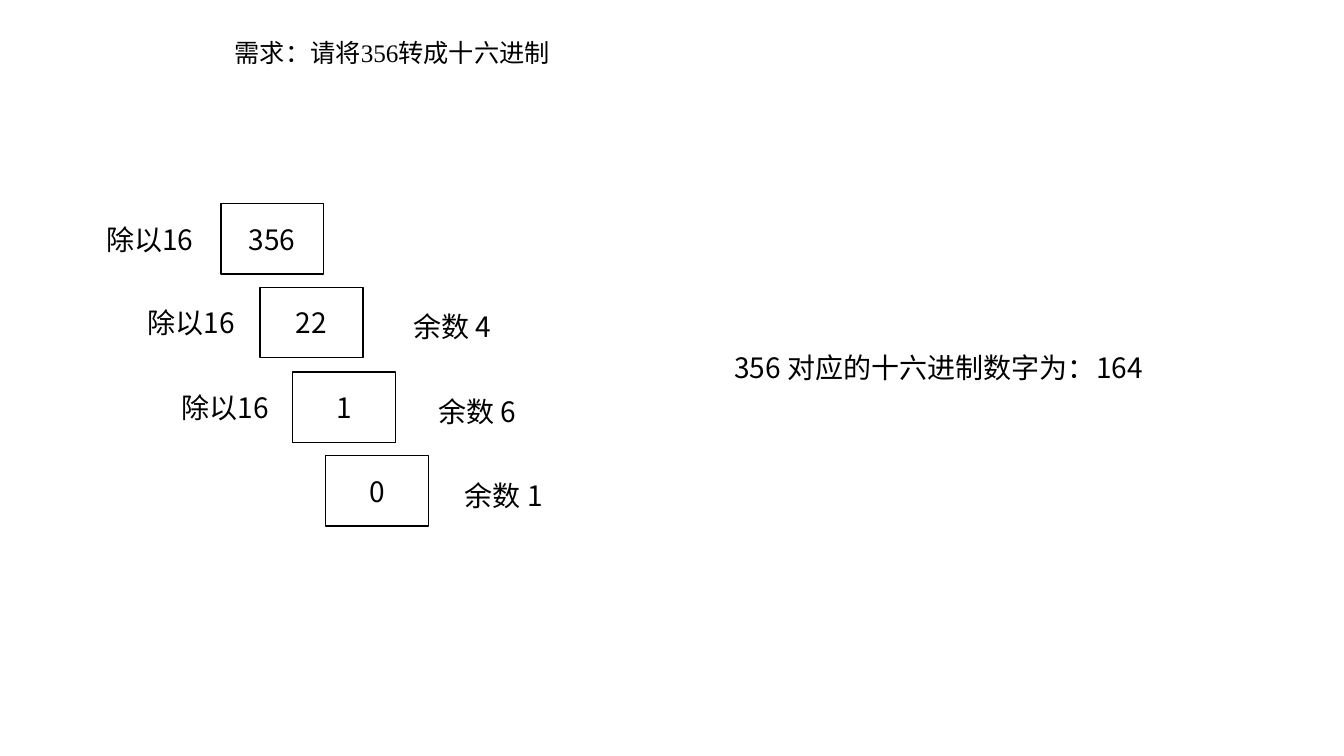
from dataclasses import dataclass

from lxml.etree import SubElement
from pptx import Presentation
from pptx.dml.color import RGBColor
from pptx.enum.shapes import MSO_SHAPE as Shape
from pptx.enum.text import MSO_ANCHOR as Anchor, MSO_AUTO_SIZE as Fit, PP_ALIGN as Align
from pptx.oxml.ns import qn
from pptx.util import Emu, Pt

PX = 9144  # 100 px to the inch
HEX = {"ink": "000000", "paper": "FFFFFF"}
SANS, SERIF = "Noto Sans CJK SC", "Times New Roman"

TOP, PITCH = 202, 250 / 3
BOX_W, BOX_H = 102, 70
DIV_W, REM_W, TAG_H = 109, 101, 44
DIV_DROP, REM_DROP = 13, 17


@dataclass
class Step:
    """One division: quotient box, its divisor tag and its remainder tag."""
    num: str
    left: int
    div: int | None = None
    rem: int | None = None
    rest: str = ""


STEPS = [
    Step("356", 219, div=94),
    Step("22", 258, div=135, rem=398, rest="4"),
    Step("1", 290, div=169, rem=423, rest="6"),
    Step("0", 323, rem=449, rest="1"),
]


def color(key: str) -> RGBColor:
    return RGBColor.from_string(HEX[key])


def put(page, text: str, left: int, top: int, wide: int, high: int,
        size: int = 20, face: str = SANS, align=Align.CENTER, anchor=Anchor.MIDDLE):
    """Add a rectangle with one line of text and no fill or line."""
    shape = page.shapes.add_shape(Shape.RECTANGLE, *(Emu(n * PX) for n in (left, top, wide, high)))
    shape.shadow.inherit = False
    shape.fill.background()
    shape.line.fill.background()
    shape.text_frame.vertical_anchor = anchor
    para = shape.text_frame.paragraphs[0]
    para.alignment = align
    run = para.add_run()
    run.text = text
    for name, value in {"size": Pt(size), "name": face}.items():
        setattr(run.font, name, value)
    run.font.color.rgb = color("ink")
    SubElement(run.font._element, qn("a:ea")).set("typeface", SANS)
    return shape


def box(page, text: str, left: int, top: int) -> None:
    shape = put(page, text, left, top, BOX_W, BOX_H)
    shape.line.color.rgb = color("ink")
    shape.line.width = Pt(1)


def tag(page, text: str, left: int, top: int, wide: int, high: int = TAG_H,
        wrap: bool = False, **form) -> None:
    """Add a white label that grows with its text."""
    shape = put(page, text, left, top, wide, high, **form)
    shape.fill.solid()
    shape.fill.fore_color.rgb = color("paper")
    shape.text_frame.word_wrap = wrap
    shape.text_frame.auto_size = Fit.SHAPE_TO_FIT_TEXT


def main() -> None:
    deck = Presentation()
    deck.slide_width, deck.slide_height = Emu(1333 * PX), Emu(750 * PX)
    page = deck.slides.add_slide(deck.slide_layouts[6])
    for i, step in enumerate(STEPS):
        top = TOP + round(i * PITCH)
        box(page, step.num, step.left, top)
        if step.rem is not None:
            tag(page, f"余数 {step.rest}", step.rem, top + REM_DROP, REM_W)
        if step.div is not None:
            tag(page, "除以16", step.div, top + DIV_DROP, DIV_W)
    tag(page, "356 对应的十六进制数字为：164", 713, 342, 436)
    tag(page, "需求：请将356转成十六进制", 223, 32, 344, 40, wrap=True,
        size=18, face=SERIF, align=Align.LEFT, anchor=Anchor.TOP)
    deck.save("out.pptx")


if __name__ == "__main__":
    main()
